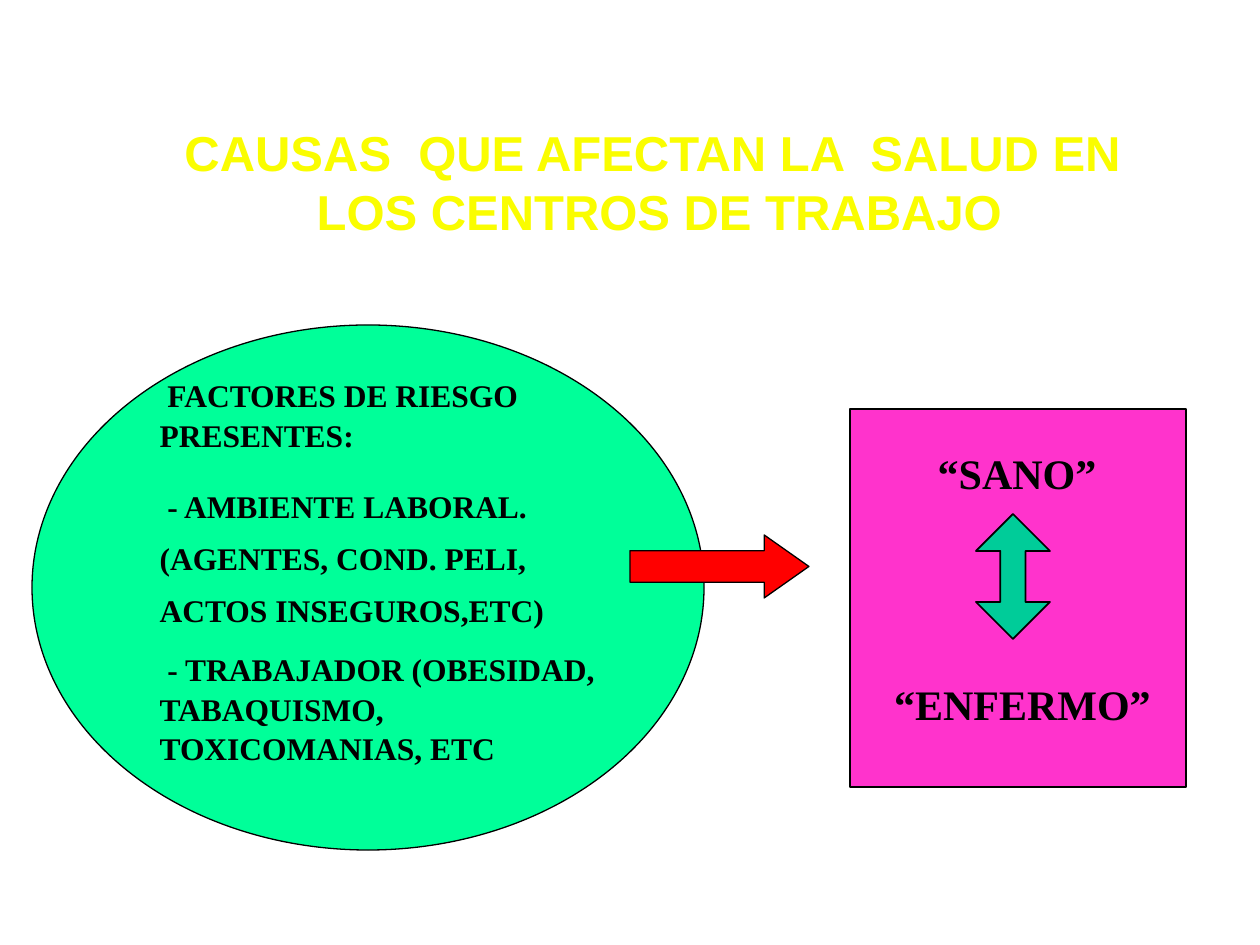
from pptx import Presentation
from pptx.dml.color import RGBColor
from pptx.enum.shapes import MSO_SHAPE as Kind
from pptx.enum.text import MSO_ANCHOR as Anchor, MSO_AUTO_SIZE as Auto, PP_ALIGN as Align
from pptx.oxml.ns import qn
from pptx.util import Inches, Pt

PX = Inches(1) / 126
BLACK = RGBColor(0x00, 0x00, 0x00)
YELLOW = RGBColor(0xFA, 0xFD, 0x00)
GREEN = RGBColor(0x00, 0xFF, 0x99)
TEAL = RGBColor(0x00, 0xCC, 0x99)
RED = RGBColor(0xFF, 0x00, 0x00)
PINK = RGBColor(0xFF, 0x33, 0xCC)

deck = Presentation()
deck.slide_width, deck.slide_height = Inches(10), Inches(7.5)
slide = deck.slides.add_slide(deck.slide_layouts[1])
shapes = slide.shapes


def emu(box):
    return [round(side * PX) for side in box]


def write(shape, box, lines, size=18, font="Times New Roman", color=BLACK,
          align=Align.CENTER, wrap=False, gaps=(1,), before=0):
    """Place a text shape and fill it, one paragraph per line; gaps are line spacings."""
    shape.left, shape.top, shape.width, shape.height = emu(box)
    frame = shape.text_frame
    frame.text = "\n".join(lines)
    frame.auto_size = Auto.NONE
    frame.word_wrap = wrap
    frame.vertical_anchor = Anchor.TOP
    for i, para in enumerate(frame.paragraphs):
        props = para._p.get_or_add_pPr()
        props.set("marL", "0")
        props.set("indent", "0")
        props.append(props.makeelement(qn("a:buNone"), {}))
        para.alignment = align
        para.line_spacing = gaps[i % len(gaps)]
        para.space_before = Pt(before if i else 0)
        for run in para.runs:
            run.font.name, run.font.size, run.font.bold = font, Pt(size), True
            run.font.color.rgb = color


figures = [
    (Kind.OVAL, (32, 325, 672, 525), GREEN, 0.75, ()),
    (Kind.RIGHT_ARROW, (630, 535, 179, 63), RED, 0.75, (0.5, 0.71)),
    (Kind.RECTANGLE, (850, 409, 336, 378), PINK, 0.75, ()),
    (Kind.UP_DOWN_ARROW, (976, 514, 74, 125), TEAL, 1, (0.5, 0.34)),
]
for kind, box, fill, width, bends in figures:
    shape = shapes.add_shape(kind, *emu(box))
    shape.shadow.inherit = False
    shape.fill.solid()
    shape.fill.fore_color.rgb = fill
    shape.line.color.rgb = BLACK
    shape.line.width = Pt(width)
    for i, bend in enumerate(bends):
        shape.adjustments[i] = bend

title, body = shapes.title, slide.placeholders[1]
for holder in (body, title):
    shapes.element.append(holder.element)  # bring in front of the ellipse

write(body, (147, 368, 483, 388), [
    " FACTORES DE RIESGO PRESENTES:",
    " - AMBIENTE LABORAL. (AGENTES, COND. PELI, ACTOS INSEGUROS,ETC)",
    " - TRABAJADOR (OBESIDAD, TABAQUISMO, TOXICOMANIAS, ETC",
], align=Align.LEFT, wrap=True, gaps=(1.05, 1.37, 1.05), before=11.2)

write(title, (169, 116, 967, 125),
      ["CAUSAS  QUE AFECTAN LA  SALUD EN", " LOS CENTROS DE TRABAJO"],
      size=28, font="Arial", color=YELLOW)

for word, box in [("“SANO”", (925, 441, 184, 63)), ("“ENFERMO”", (882, 672, 281, 63))]:
    write(shapes.add_textbox(0, 0, 0, 0), box, [word], size=24)

deck.save("out.pptx")
